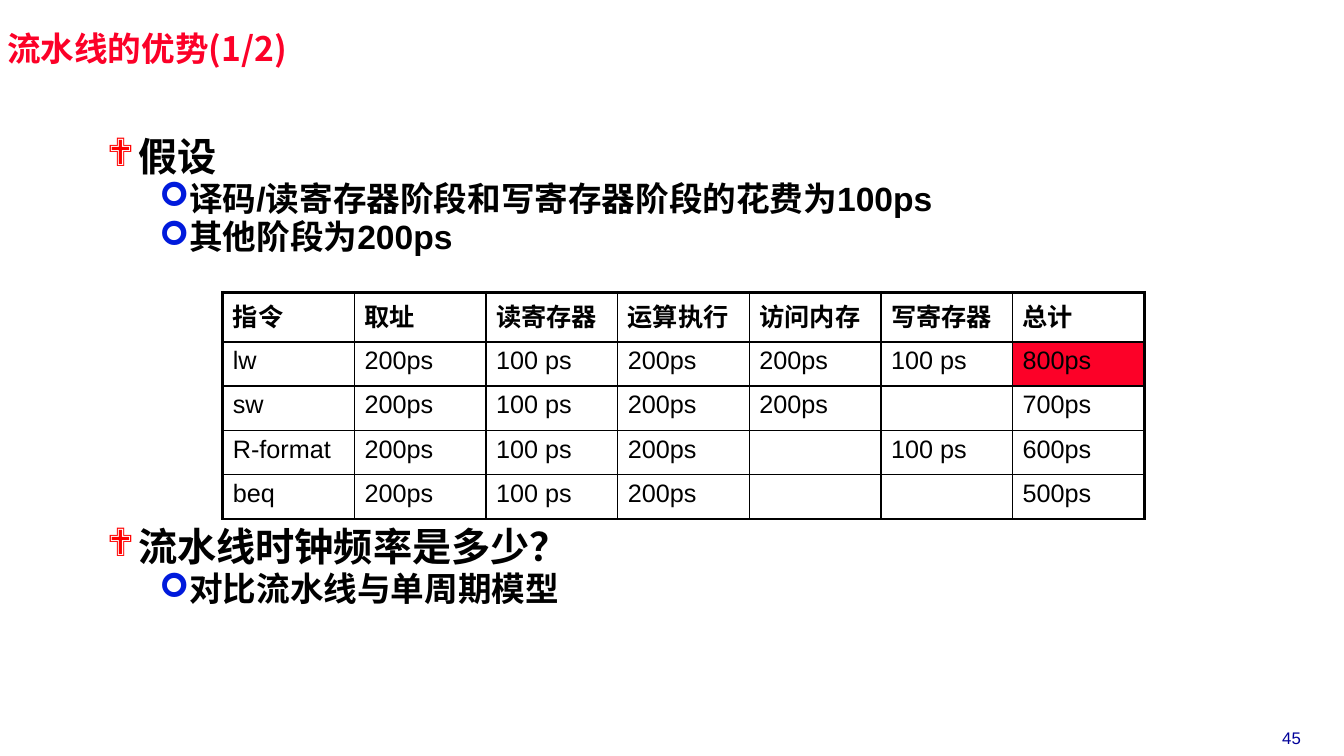
from lxml import etree
from pptx import Presentation
from pptx.dml.color import RGBColor
from pptx.enum.text import MSO_ANCHOR, MSO_AUTO_SIZE, PP_ALIGN
from pptx.oxml.ns import qn
from pptx.util import Inches, Pt

# Content
HEADING = "流水线的优势(1/2)"
PAGE_NUMBER = "45"
OUTLINE = [  # level, text, space before in points
    (0, "假设", 0),
    (1, "译码/读寄存器阶段和写寄存器阶段的花费为100ps", 0),
    (1, "其他阶段为200ps", 0),
    (0, "流水线时钟频率是多少？", 192),  # leaves room for the table
    (1, "对比流水线与单周期模型", 0),
]
TIMINGS = [
    ("指令", "取址", "读寄存器", "运算执行", "访问内存", "写寄存器", "总计"),
    ("lw", "200ps", "100 ps", "200ps", "200ps", "100 ps", "800ps"),
    ("sw", "200ps", "100 ps", "200ps", "200ps", "", "700ps"),
    ("R-format", "200ps", "100 ps", "200ps", "", "100 ps", "600ps"),
    ("beq", "200ps", "100 ps", "200ps", "", "", "500ps"),
]
SLOWEST = (1, 6)  # row and column of the longest total

# Style
COLORS = {"accent": "FC0128", "ink": "000000", "page": "000099",
          "diamond": "FF0000", "arrow": "001ADC"}
LATIN, CJK = "Arial", "Noto Sans CJK SC"
LEVELS = [  # bullet, bullet colour, size, left margin, hanging indent
    ("❖", "diamond", 28, 0.31, -0.31),
    ("➢", "arrow", 24, 0.73, -0.21),
]
HEADER_HEIGHT, ROW_HEIGHT = 0.49, 0.44
OUTER, UNDER_HEADER, INNER = 2.25, 1.5, 1


def style(paragraph, size, color, bold=False, latin=LATIN):
    font = paragraph.font
    font.size, font.bold, font.name = Pt(size), bold, latin
    font.color.rgb = RGBColor.from_string(COLORS[color])
    for run in paragraph.runs:
        etree.SubElement(run._r.get_or_add_rPr(), qn("a:ea"), typeface=CJK)


def place(box, left, top, width, height, anchor):
    box.left, box.top = Inches(left), Inches(top)
    box.width, box.height = Inches(width), Inches(height)
    frame = box.text_frame
    frame.margin_left = frame.margin_right = Inches(0.07)
    frame.margin_top = frame.margin_bottom = Inches(0.03)
    frame.vertical_anchor, frame.word_wrap = anchor, True
    frame.auto_size = MSO_AUTO_SIZE.NONE
    return frame


def add_bullet(paragraph, char, color, left, indent):
    props = paragraph._p.get_or_add_pPr()
    props.set("marL", str(Inches(left)))
    props.set("indent", str(Inches(indent)))
    tint = etree.SubElement(props, qn("a:buClr"))
    etree.SubElement(tint, qn("a:srgbClr"), val=COLORS[color])
    etree.SubElement(props, qn("a:buFont"), typeface="Wingdings")
    etree.SubElement(props, qn("a:buChar"), char=char)


def set_borders(cell, widths):
    props = cell._tc.get_or_add_tcPr()
    for position, (side, width) in enumerate(widths.items()):
        line = etree.Element(qn("a:" + side), w=str(Pt(width)))
        fill = etree.SubElement(line, qn("a:solidFill"))
        etree.SubElement(fill, qn("a:srgbClr"), val=COLORS["ink"])
        props.insert(position, line)


prs = Presentation()
prs.slide_width, prs.slide_height = Inches(13.33), Inches(7.5)
slide = prs.slides.add_slide(prs.slide_layouts[1])

# Title
title = place(slide.shapes.title, 0, 0.3, 7.67, 0.41, MSO_ANCHOR.MIDDLE)
title.text = HEADING
title.paragraphs[0].alignment = PP_ALIGN.LEFT
title.paragraphs[0].line_spacing = 0.87
style(title.paragraphs[0], 24, "accent", bold=True, latin=CJK)

# Outline
outline = place(slide.placeholders[1], 0.99, 1.32, 9, 5.4, MSO_ANCHOR.TOP)
outline.text = "\n".join(text for _, text, _ in OUTLINE)
for paragraph, (level, _, gap) in zip(outline.paragraphs, OUTLINE):
    char, color, size, left, indent = LEVELS[level]
    paragraph.level = level
    paragraph.line_spacing, paragraph.space_before = 0.95, Pt(gap)
    add_bullet(paragraph, char, color, left, indent)
    style(paragraph, size, "ink", bold=True)

# Stage timing table
rows, cols = len(TIMINGS), len(TIMINGS[0])
timing = slide.shapes.add_table(
    rows, cols, Inches(2.21), Inches(2.9), Inches(9.14),
    Inches(HEADER_HEIGHT + ROW_HEIGHT * (rows - 1))).table
timing.first_row = timing.horz_banding = False
for r, values in enumerate(TIMINGS):
    timing.rows[r].height = Inches(ROW_HEIGHT if r else HEADER_HEIGHT)
    for c, value in enumerate(values):
        cell = timing.cell(r, c)
        cell.text = value
        style(cell.text_frame.paragraphs[0], 18, "ink", bold=r == 0)
        if (r, c) == SLOWEST:
            cell.fill.solid()
            cell.fill.fore_color.rgb = RGBColor.from_string(COLORS["accent"])
        else:
            cell.fill.background()
        set_borders(cell, {
            "lnL": OUTER if c == 0 else INNER,
            "lnR": OUTER if c == cols - 1 else INNER,
            "lnT": {0: OUTER, 1: UNDER_HEADER}.get(r, INNER),
            "lnB": {0: UNDER_HEADER, rows - 1: OUTER}.get(r, INNER),
        })

# Page number
page = place(slide.shapes.add_textbox(0, 0, 0, 0), 12.34, 7.17, 0.94, 0.3,
             MSO_ANCHOR.MIDDLE)
page.text = PAGE_NUMBER
page.paragraphs[0].alignment = PP_ALIGN.CENTER
style(page.paragraphs[0], 12, "page")

prs.save("out.pptx")
